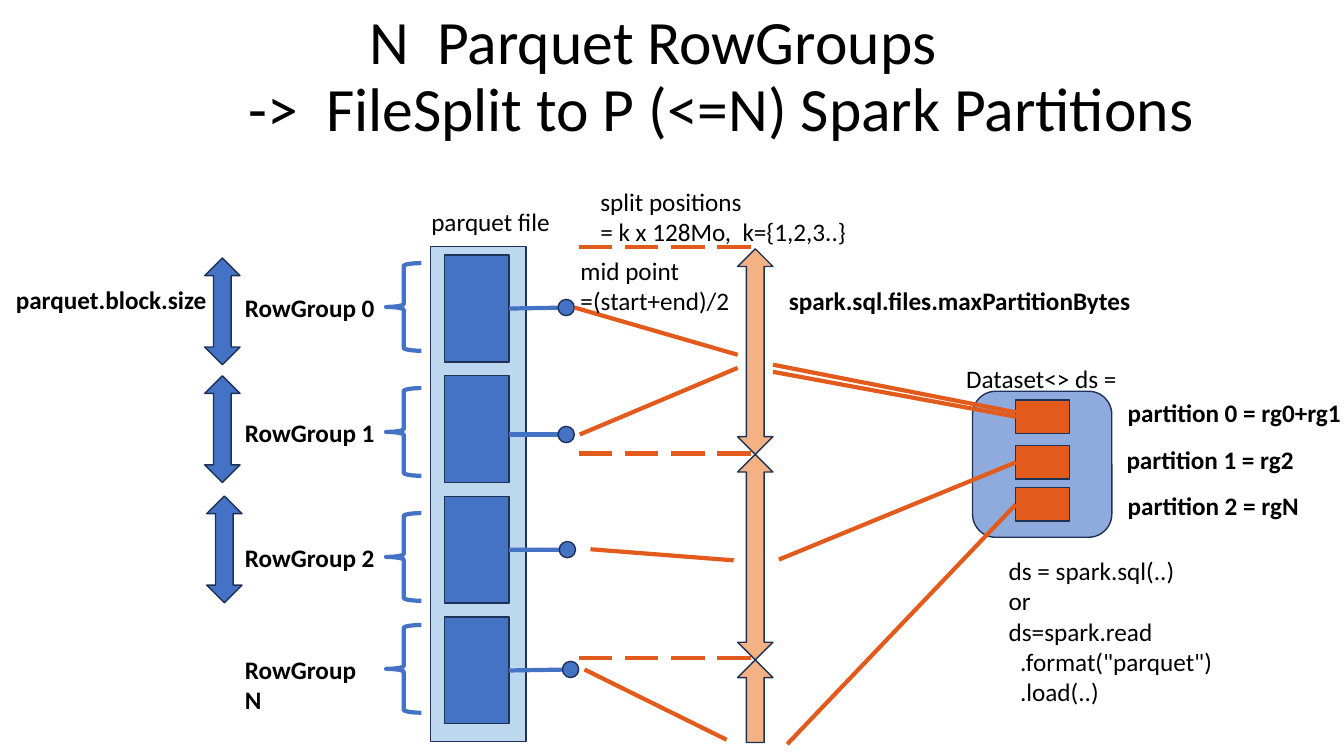
from lxml import etree
from pptx import Presentation
from pptx.dml.color import RGBColor
from pptx.enum.dml import MSO_LINE_DASH_STYLE as Dash
from pptx.enum.shapes import MSO_CONNECTOR, MSO_SHAPE as Preset
from pptx.enum.text import MSO_ANCHOR, MSO_AUTO_SIZE, PP_ALIGN
from pptx.oxml.ns import qn
from pptx.util import Cm, Pt

BLACK = RGBColor(0x00, 0x00, 0x00)
BLUE = RGBColor(0x44, 0x72, 0xC4)
PALE_BLUE = RGBColor(0xBD, 0xD7, 0xEE)
MID_BLUE = RGBColor(0x8F, 0xAA, 0xDC)
OUTLINE = RGBColor(0x1E, 0x32, 0x56)
ORANGE = RGBColor(0xE2, 0x5A, 0x1C)
PALE_ORANGE = RGBColor(0xF4, 0xB1, 0x83)
FONT = "Calibri"
LEFT, RIGHT = 1, 3  # connection sites of a rectangle

BLOCK_TOP, BLOCK_PITCH, BLOCK_HEIGHT = 6.43, 3.04, 2.69
BLOCK_LEFT, BLOCK_WIDTH = 11.2, 1.63
DOT = 0.41

# label, brace top, centre of the mid-point dot
ROW_GROUPS = [
    ("RowGroup 0", 6.63, 14.27, 7.75),
    ("RowGroup 1", 9.78, 14.27, 10.95),
    ("RowGroup 2", 12.93, 14.3, 13.85),
    ("RowGroup N", 15.75, 14.38, 16.87),
]
# label, label left, label top, label width, rectangle top, start of its link
PARTITIONS = [
    ("partition 0 = rg0+rg1", 28.17, 9.88, 5.94, 10.08, (19.48, 9.37)),
    ("partition 1 = rg2", 28.14, 11.07, 4.78, 11.23, (19.63, 14.1)),
    ("partition 2 = rgN", 28.17, 12.22, 4.88, 12.29, (19.84, 18.75)),
]
MID_POINT_LINKS = [
    ((14.48, 7.75), (18.59, 8.94)),
    ((14.61, 10.95), (18.59, 9.27)),
    ((14.88, 13.84), (18.49, 14.12)),
    ((14.73, 16.87), (18.31, 18.64)),
]
# text, left, top, width, height, bold
NOTES = [
    ("parquet file", 10.62, 5.08, 3.53, 1.02, False),
    ("parquet.block.size", 0.15, 7.04, 5.33, 1.02, True),
    ("spark.sql.files.maxPartitionBytes", 19.63, 7.06, 9.19, 1.02, True),
    ("split positions\n= k x 128Mo,  k={1,2,3..}", 14.88, 4.57, 6.78, 1.8, False),
    ("mid point\n=(start+end)/2", 14.38, 6.3, 4.32, 1.8, False),
    ("Dataset<> ds =", 24.1, 9.02, 4.5, 1.02, False),
    ('ds = spark.sql(..)\nor\nds=spark.read\v  .format("parquet")\v  .load(..)',
     25.17, 13.87, 5.69, 4.88, False),
]


def add_block(slide, preset, left, top, width, height, fill):
    shape = slide.shapes.add_shape(preset, Cm(left), Cm(top), Cm(width), Cm(height))
    shape.shadow.inherit = False
    shape.fill.solid()
    shape.fill.fore_color.rgb = fill
    shape.line.color.rgb = OUTLINE
    shape.line.width = Pt(1)
    return shape


def add_brace(slide, left, top, width, height):
    brace = add_block(slide, Preset.LEFT_BRACE, left, top, width, height, BLUE)
    brace.fill.background()
    brace.line.color.rgb = BLUE
    brace.line.width = Pt(3)


def add_line(slide, start, end, color, dash=None):
    line = slide.shapes.add_connector(
        MSO_CONNECTOR.STRAIGHT, *(Cm(value) for value in (*start, *end)))
    line.line.color.rgb = color
    line.line.width = Pt(3)
    if dash:
        line.line.dash_style = dash
    etree.SubElement(line._element.spPr, qn("a:effectLst"))
    return line


def add_text(slide, text, left, top, width, height, bold=False):
    box = slide.shapes.add_textbox(Cm(left), Cm(top), Cm(width), Cm(height))
    frame = box.text_frame
    frame.word_wrap = False
    frame.auto_size = MSO_AUTO_SIZE.SHAPE_TO_FIT_TEXT
    frame.text = text
    for paragraph in frame.paragraphs:
        font = paragraph.font
        font.name, font.size, font.bold = FONT, Pt(18), bold
        font.color.rgb = BLACK


def add_title(slide):
    box = slide.shapes.add_textbox(Cm(0.43), Cm(0.13), Cm(33.17), Cm(3.68))
    frame = box.text_frame
    frame.word_wrap = True
    frame.vertical_anchor = MSO_ANCHOR.MIDDLE
    frame.margin_right = Cm(1.35)
    frame.text = "N  Parquet RowGroups\n->  FileSplit to P (<=N) Spark Partitions"
    for paragraph in frame.paragraphs:
        paragraph.alignment = PP_ALIGN.CENTER
        paragraph.line_spacing = 0.9
        paragraph.font.name, paragraph.font.size = FONT, Pt(44)
        paragraph.font.color.rgb = BLACK
    # The second line is set further to the right
    frame.paragraphs[1]._p.get_or_add_pPr().set("marL", str(Cm(3.45)))


def add_row_group(slide, index, label, brace_top, dot_x, dot_y):
    top = BLOCK_TOP + index * BLOCK_PITCH
    block = add_block(slide, Preset.RECTANGLE, BLOCK_LEFT, top,
                      BLOCK_WIDTH, BLOCK_HEIGHT, BLUE)
    add_brace(slide, 9.73, brace_top, 0.89, 2.21)
    add_text(slide, label, 5.92, brace_top + 0.61, 3.85, 1.02, bold=True)
    stub = add_line(slide, (BLOCK_LEFT + BLOCK_WIDTH, dot_y), (dot_x, dot_y), BLUE)
    if abs(top + BLOCK_HEIGHT / 2 - dot_y) < 0.1:
        stub.begin_connect(block, RIGHT)
    add_block(slide, Preset.OVAL, dot_x - DOT / 2, dot_y - DOT / 2, DOT, DOT, BLUE)


def add_partition(slide, label, label_left, label_top, label_width, top, start):
    partition = add_block(slide, Preset.RECTANGLE, 25.6, top, 1.35, 0.84, ORANGE)
    link = add_line(slide, start, (25.6, top + 0.42), ORANGE)
    link.end_connect(partition, LEFT)
    add_text(slide, label, label_left, label_top, label_width, 1.02, bold=True)


def main():
    presentation = Presentation()
    presentation.slide_width, presentation.slide_height = Cm(33.87), Cm(19.05)
    slide = presentation.slides.add_slide(presentation.slide_layouts[6])
    add_title(slide)

    # Parquet file and its row groups
    add_block(slide, Preset.RECTANGLE, 10.85, 6.22, 2.41, 12.47, PALE_BLUE)
    for index, row_group in enumerate(ROW_GROUPS):
        add_row_group(slide, index, *row_group)

    # Block sizes
    for left, top in ((5.16, 6.5), (5.16, 9.47), (5.21, 12.5)):
        add_block(slide, Preset.UP_DOWN_ARROW, left, top, 0.89, 2.69, BLUE)

    # Split positions and the splits between them
    for y in (6.22, 11.43, 16.59):
        add_line(slide, (14.58, y), (18.97, y), ORANGE, Dash.LONG_DASH)
    for top in (6.27, 11.45):
        add_block(slide, Preset.UP_DOWN_ARROW, 18.59, top, 0.89, 5.18, PALE_ORANGE)
    add_block(slide, Preset.UP_ARROW, 18.59, 16.63, 0.89, 2.08, PALE_ORANGE)

    # Dataset with its partitions
    add_block(slide, Preset.ROUNDED_RECTANGLE, 24.51, 9.86, 3.51, 3.68, MID_BLUE)
    for partition in PARTITIONS:
        add_partition(slide, *partition)

    # Row groups to splits, and the second row group of partition 0
    for start, end in MID_POINT_LINKS:
        add_line(slide, start, end, ORANGE)
    add_line(slide, (19.48, 9.19), (25.6, 10.39), ORANGE)

    for note in NOTES:
        add_text(slide, *note)
    presentation.save("out.pptx")


if __name__ == "__main__":
    main()
